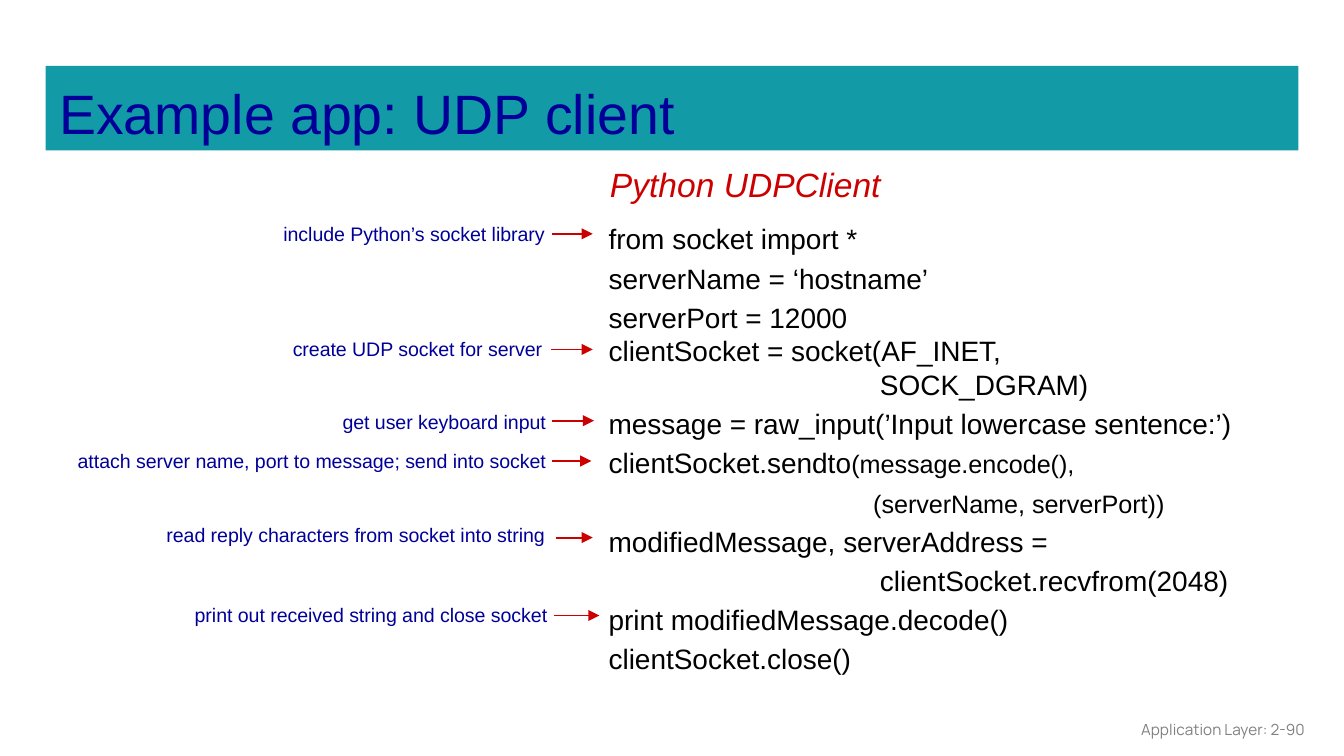
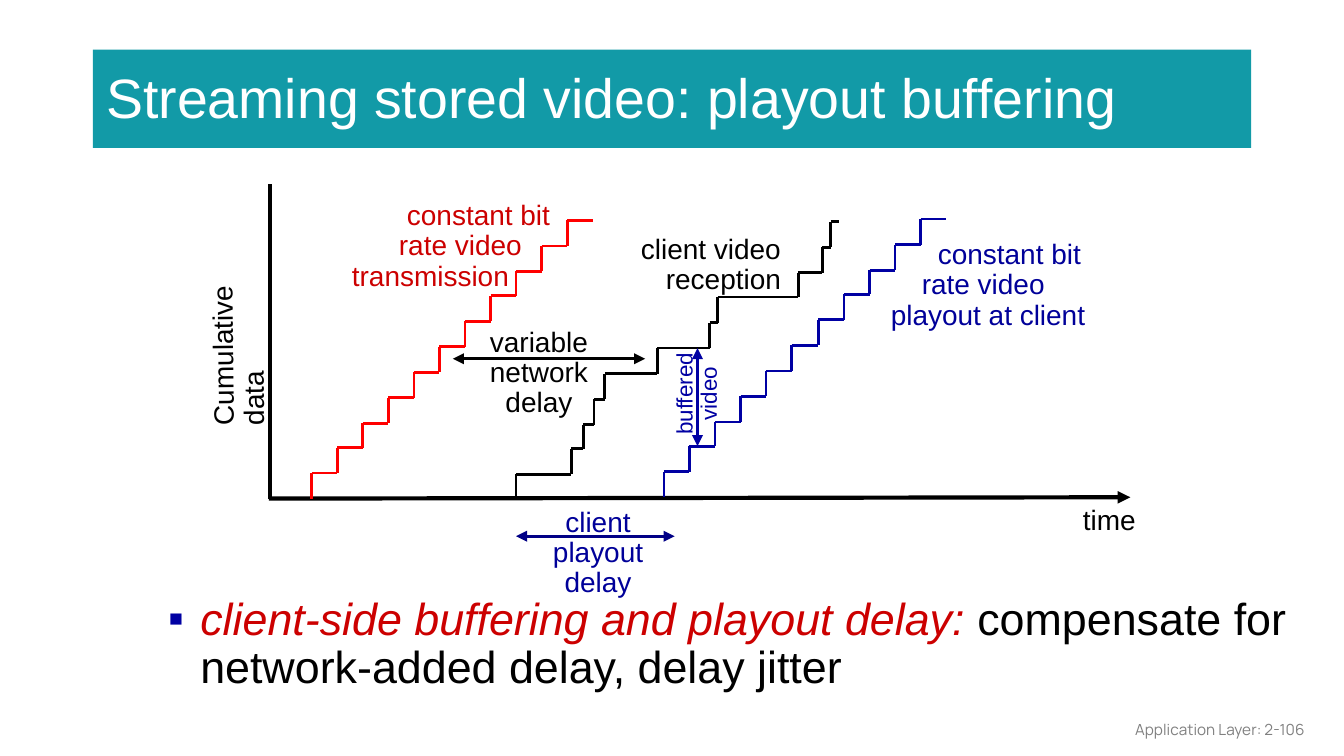
from dataclasses import dataclass
from itertools import pairwise

from lxml.etree import SubElement
from pptx import Presentation
from pptx.dml.color import RGBColor
from pptx.enum.shapes import MSO_CONNECTOR as CONN
from pptx.enum.text import MSO_ANCHOR as ANCHOR
from pptx.enum.text import MSO_AUTO_SIZE as FIT
from pptx.enum.text import PP_ALIGN as ALIGN
from pptx.oxml.ns import qn
from pptx.slide import Slide
from pptx.util import Pt

EMU_PER_PX = 9144  # 100 px to the inch
TITLE_ONLY = 5


@dataclass(frozen=True)
class Theme:
    font: str = "Arial"
    footer_font: str = "Manrope"
    band: str = "129AA7"
    white: str = "FFFFFF"
    black: str = "000000"
    navy: str = "000099"
    blue: str = "0000A3"
    dark_blue: str = "010086"
    crimson: str = "CC0000"
    red: str = "FF0000"
    grey: str = "808080"
    title: float = 29.7
    bullet: float = 24
    heading: float = 18
    text: float = 15
    args: float = 13.5
    small: float = 12
    note: float = 10.5
    footer: float = 8.25


T = Theme()


@dataclass(frozen=True)
class Box:
    x: int
    y: int
    w: int
    h: int

    def emu(self) -> tuple[int, ...]:
        return tuple(px(v) for v in (self.x, self.y, self.w, self.h))


@dataclass(frozen=True)
class Span:
    text: str
    color: str = T.black
    size: float = T.text
    italic: bool = False
    font: str = T.font


@dataclass(frozen=True)
class Para:
    """Leading is a share of the line as a float, or points as Pt."""
    spans: tuple[Span, ...]
    leading: float | Pt | None = None
    indent: int = 0


@dataclass(frozen=True)
class Note:
    """A remark on a code line, with its arrow."""
    text: str
    box: Box
    x1: int
    x2: int
    y: int
    leading: Pt | None = None


@dataclass(frozen=True)
class Label:
    lines: tuple[str, ...]
    box: Box
    color: str = T.black
    size: float = T.text
    align: ALIGN = ALIGN.LEFT
    wrap: bool = False
    indents: tuple[int, ...] = (0, 0, 0)
    rotation: float = 0


@dataclass(frozen=True)
class Staircase:
    """Alternating rises and treads; xs holds each rise and the last end."""
    xs: tuple[int, ...]
    base: int
    top: int
    color: str


@dataclass(frozen=True)
class Arrow:
    x1: int
    y1: int
    x2: int
    y2: int
    color: str


def px(value: int) -> int:
    return value * EMU_PER_PX


def style(r, span: Span) -> None:
    r.font.name, r.font.size, r.font.italic = span.font, Pt(span.size), span.italic
    r.font.color.rgb = RGBColor.from_string(span.color)


def add_text(s: Slide, box: Box, paras: list[Para], align: ALIGN = ALIGN.LEFT,
             wrap: bool = False, grow: bool = True):
    sp = s.shapes.add_textbox(*box.emu())
    tf = sp.text_frame
    tf.word_wrap = wrap
    tf.auto_size = FIT.SHAPE_TO_FIT_TEXT if grow else FIT.NONE
    for i, para in enumerate(paras):
        p = tf.add_paragraph() if i else tf.paragraphs[0]
        p.alignment = align
        if para.indent:
            p._p.get_or_add_pPr().set("marL", str(px(para.indent)))
        if para.leading:
            p.line_spacing = para.leading
        for span in para.spans:
            r = p.add_run()
            r.text = span.text
            style(r, span)
    return sp


def add_line(s: Slide, x1: int, y1: int, x2: int, y2: int, color: str,
             width: float, head: bool = False, tail: bool = False) -> None:
    c = s.shapes.add_connector(CONN.STRAIGHT, px(x1), px(y1), px(x2), px(y2))
    c.line.color.rgb = RGBColor.from_string(color)
    c.line.width = Pt(width)
    ln = c.line._get_or_add_ln()
    for tag, wanted in (("a:headEnd", head), ("a:tailEnd", tail)):
        if wanted:
            SubElement(ln, qn(tag), type="triangle")
    SubElement(c._element.spPr, qn("a:effectLst"))


def add_slide(prs, title: str, band: Box, color: str, number: int) -> Slide:
    s = prs.slides.add_slide(prs.slide_layouts[TITLE_ONLY])
    sp = s.shapes.title
    sp.left, sp.top, sp.width, sp.height = band.emu()
    sp.fill.solid()
    sp.fill.fore_color.rgb = RGBColor.from_string(T.band)
    tf = sp.text_frame
    tf.text = title
    tf.auto_size, tf.vertical_anchor, tf.word_wrap = FIT.NONE, ANCHOR.TOP, True
    tf.margin_left = tf.margin_right = tf.margin_top = tf.margin_bottom = px(10)
    p = tf.paragraphs[0]
    p.alignment = ALIGN.LEFT
    style(p.runs[0], Span(title, color, T.title))
    footer = Span(f"Application Layer: 2-{number}", T.grey, T.footer, font=T.footer_font)
    sp = add_text(s, Box(756, 528, 225, 30), [Para((footer,))],
                  ALIGN.RIGHT, wrap=True, grow=False)
    sp.text_frame.vertical_anchor = ANCHOR.MIDDLE
    return s


def code(text: str, args: str = "", leading: int = 21) -> Para:
    spans = (Span(text), Span(args, size=T.args))
    return Para(tuple(span for span in spans if span.text), Pt(leading))


CODE = [
    code("from socket import *"),
    code("serverName = ‘hostname’"),
    code("serverPort = 12000"),
    code("clientSocket = socket(AF_INET,", leading=18),
    code(" " * 35 + "SOCK_DGRAM)", leading=18),
    code("message = raw_input(’Input lowercase sentence:’)"),
    code("clientSocket.sendto", "(message.encode(),"),
    code("", " " * 38 + "(serverName, serverPort))"),
    code("modifiedMessage, serverAddress ="),
    code(" " * 35 + "clientSocket.recvfrom(2048)"),
    code("print modifiedMessage.decode()"),
    code("clientSocket.close()"),
]

NOTES = [
    Note("include Python’s socket library", Box(201, 161, 248, 27), 411, 441, 174, Pt(12)),
    Note("create UDP socket for server", Box(208, 246, 241, 28), 410, 441, 260),
    Note("get user keyboard input", Box(245, 301, 241, 27), 411, 442, 313, Pt(12)),
    Note("attach server name, port to message; send into socket",
         Box(48, 329, 387, 28), 411, 440, 343),
    Note("print out received string and close socket",
         Box(135, 444, 302, 28), 412, 446, 458),
    Note("read reply characters from socket into string",
         Box(114, 384, 336, 28), 414, 441, 400),
]

STAIRCASES = [
    Staircase(tuple(range(232, 442, 19)), 371, 164, T.red),
    Staircase((384, 425, 434, 442, 450, 489, 528, 534, 594, 612, 618, 624),
              372, 165, T.black),
    Staircase(tuple(round(494 + i * 210 / 11) for i in range(12)), 370, 163, T.blue),
]

LABELS = [
    Label(("constant bit", "rate video", "transmission"), Box(252, 145, 174, 78),
          T.crimson, wrap=True, indents=(41, 35, 0)),
    Label(("Cumulative data",), Box(98, 218, 161, 56), wrap=True, rotation=269.4),
    Label(("time",), Box(796, 372, 60, 33)),
    Label(("variable", "network", "delay"), Box(354, 239, 94, 78), align=ALIGN.CENTER),
    Label(("client video", "reception"), Box(465, 170, 126, 56), align=ALIGN.RIGHT),
    Label(("constant bit", "rate video", "playout at client"), Box(647, 174, 174, 78),
          T.navy, wrap=True, indents=(41, 29, 6)),
    Label(("client playout", "delay"), Box(376, 373, 138, 78), T.navy,
          align=ALIGN.CENTER, wrap=True),
    Label(("buffered", "video"), Box(478, 270, 82, 46), T.blue, T.small,
          ALIGN.CENTER, rotation=270),
]

SPANS_BETWEEN_CURVES = [
    Arrow(337, 267, 480, 267, T.black),
    Arrow(384, 399, 502, 399, T.dark_blue),
    Arrow(519, 332, 519, 259, T.blue),
]


def add_staircase(s: Slide, stairs: Staircase) -> None:
    steps = len(stairs.xs) - 1
    ys = [round(stairs.base + (stairs.top - stairs.base) * i / steps)
          for i in range(steps + 1)]
    for (x1, x2), (y1, y2) in zip(pairwise(stairs.xs), pairwise(ys)):
        add_line(s, x1, y1, x1, y2, stairs.color, 1.5)
        add_line(s, x1, y2, x2, y2, stairs.color, 1.5)


def add_label(s: Slide, label: Label) -> None:
    paras = [Para((Span(line, label.color, label.size),), 0.9, indent)
             for line, indent in zip(label.lines, label.indents)]
    sp = add_text(s, label.box, paras, label.align, label.wrap)
    sp.rotation = label.rotation


def add_bullet(s: Slide, box: Box, spans: tuple[Span, ...]) -> None:
    sp = add_text(s, box, [Para(spans, 0.9, 39)], wrap=True, grow=False)
    tf = sp.text_frame
    tf.margin_left = tf.margin_right = px(7)
    tf.margin_top = tf.margin_bottom = px(4)
    pPr = tf.paragraphs[0]._p.get_or_add_pPr()
    pPr.set("indent", str(px(-24)))
    SubElement(SubElement(pPr, qn("a:buClr")), qn("a:srgbClr"), val=T.blue)
    SubElement(pPr, qn("a:buFont"), typeface=T.font)
    SubElement(pPr, qn("a:buChar"), char="▪")


def build_udp_client(prs) -> None:
    s = add_slide(prs, "Example app: UDP client", Box(34, 49, 932, 63), T.navy, 90)
    add_text(s, Box(443, 156, 489, 353), CODE)
    heading = Span("Python UDPClient", T.crimson, T.heading, italic=True)
    add_text(s, Box(444, 117, 224, 40), [Para((heading,))])
    for note in NOTES:
        para = Para((Span(note.text, T.navy, T.note),), note.leading)
        add_text(s, note.box, [para], wrap=True)
        add_line(s, note.x1, note.y, note.x2, note.y, T.crimson, 1, tail=True)


def build_playout_buffering(prs) -> None:
    s = add_slide(prs, "Streaming stored video: playout buffering",
                  Box(69, 37, 862, 73), T.white, 106)
    add_line(s, 201, 137, 201, 371, T.black, 2.25)
    add_line(s, 200, 371, 841, 370, T.black, 2.25, tail=True)
    for stairs in STAIRCASES:
        add_staircase(s, stairs)
    for a in SPANS_BETWEEN_CURVES:
        add_line(s, a.x1, a.y1, a.x2, a.y2, a.color, 1.5, head=True, tail=True)
    for label in LABELS:
        add_label(s, label)
    add_bullet(s, Box(103, 440, 862, 73), (
        Span("client-side buffering and playout delay: ", T.crimson, T.bullet, italic=True),
        Span("compensate for network-added delay, delay jitter", size=T.bullet),
    ))


def main() -> None:
    prs = Presentation()
    prs.slide_width = px(1000)
    prs.slide_height = prs.slide_width * 9 // 16
    build_udp_client(prs)
    build_playout_buffering(prs)
    prs.save("out.pptx")


if __name__ == "__main__":
    main()
